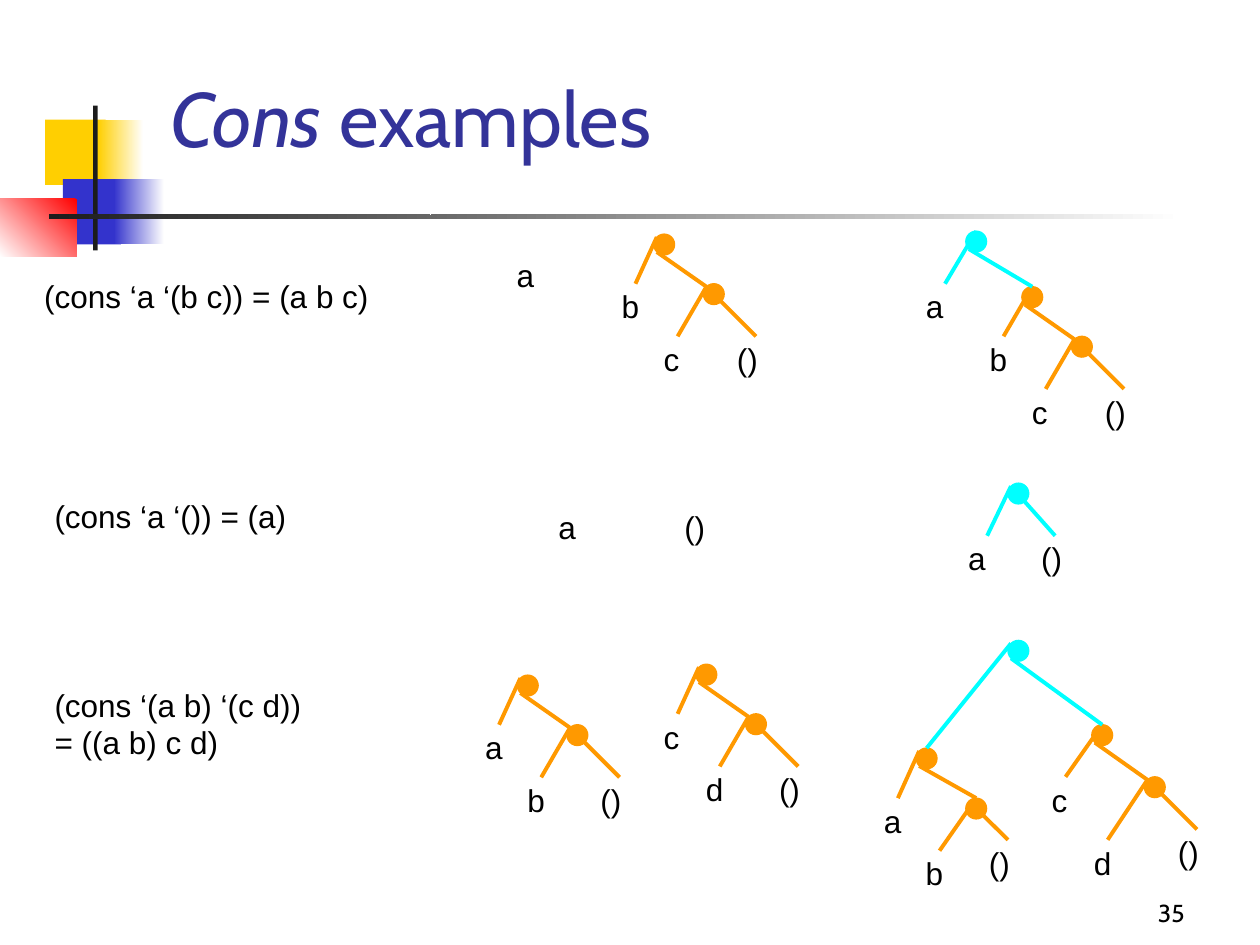
from dataclasses import dataclass
from enum import Enum
from typing import NamedTuple, Optional, Union

from lxml.etree import SubElement
from pptx import Presentation
from pptx.dml.color import RGBColor
from pptx.enum.dml import MSO_LINE
from pptx.enum.shapes import MSO_CONNECTOR, MSO_SHAPE
from pptx.enum.text import MSO_ANCHOR, PP_ALIGN
from pptx.oxml.ns import qn
from pptx.slide import Slide
from pptx.util import Cm, Pt


@dataclass(frozen=True)
class Theme:
    """Colours, fonts and type sizes of the slide."""
    title: str = "333399"
    ink: str = "000000"
    white: str = "FFFFFF"
    dark: str = "1C1C1C"
    yellow: str = "FFCF01"
    blue: str = "3333CC"
    red: str = "FF0000"
    orange: str = "FF9900"
    cyan: str = "00FFFF"
    heading_font: str = "Cabin"
    body_font: str = "Arial"
    title_size: int = 44
    body_size: int = 18
    number_size: int = 14
    leg_width: float = 2.25
    thin_width: float = 0.75
    line_spacing: float = 0.96


THEME = Theme()
DOT_SIZE = 0.42
LABEL_HEIGHT = 0.98
NARROW, WIDE = 1.06, 1.27


class Point(NamedTuple):
    """A place on the slide in centimetres."""
    x: float
    y: float


class Area(NamedTuple):
    """A rectangle on the slide in centimetres."""
    left: float
    top: float
    width: float
    height: float


class Site(Enum):
    """Places on a dot where legs meet it."""
    TOP = Point(0.21, 0)
    UPPER = Point(0.06, 0.06)
    LOWER = Point(0.06, 0.36)


class Panel(NamedTuple):
    """A decorative rectangle, with a gradient when it has an end colour."""
    area: Area
    color: str
    end_color: Optional[str] = None
    angle: int = 180


@dataclass(frozen=True)
class Leaf:
    """A label centred below its point."""
    text: str
    x: float
    y: float
    width: float = NARROW


@dataclass(frozen=True)
class Cons:
    """A pair drawn as a dot with two legs."""
    x: float
    y: float
    left: Union["Cons", Leaf]
    right: Union["Cons", Leaf]
    color: str = THEME.orange
    entry: Site = Site.UPPER
    left_site: Site = Site.UPPER

    def at(self, site: Site) -> Point:
        """Return the place of a site of the dot."""
        return Point(self.x + site.value.x, self.y + site.value.y)


def two_item_list(first: str, second: str, x: float, y: float, site: Site = Site.UPPER) -> Cons:
    """Return the tree of a list with two items."""
    tail = Cons(x + 1, y + 1, Leaf(second, x + 0.48, y + 2.06), Leaf("()", x + 2.06, y + 2.06, WIDE))
    return Cons(x, y, Leaf(first, x - 0.37, y + 1), tail, entry=site, left_site=site)


PANELS = [
    Panel(Area(0.91, 2.41, 1.22, 1.32), THEME.yellow),
    Panel(Area(1.98, 2.41, 0.91, 1.32), THEME.white, THEME.yellow),
    Panel(Area(1.27, 3.61, 1.17, 1.32), THEME.blue),
    Panel(Area(2.29, 3.61, 1.02, 1.32), THEME.white, THEME.blue),
    Panel(Area(0, 4.01, 1.55, 1.17), THEME.red, THEME.white, 225),
    Panel(Area(1.88, 2.13, 0.09, 2.92), THEME.dark),
    Panel(Area(0.99, 4.32, 22.86, 0.09), THEME.white, THEME.dark),
]

EXPRESSIONS = [
    ("(cons ‘a ‘(b c)) = (a b c)", Area(0.64, 5.5, 9.95, LABEL_HEIGHT)),
    ("(cons ‘a ‘()) = (a)", Area(0.85, 9.95, 9.95, LABEL_HEIGHT)),
    ("(cons ‘(a b) ‘(c d)) = ((a b) c d)", Area(0.85, 13.76, 5.93, 1.73)),
]

TREES = [
    Leaf("a", 10.8, 5.08, WIDE),
    two_item_list("b", "c", 13.18, 4.72),
    Cons(19.47, 4.66, Leaf("a", 19.05, 5.72, WIDE), two_item_list("b", "c", 20.6, 5.78, Site.TOP),
         THEME.cyan, left_site=Site.TOP),
    Leaf("a", 11.64, 10.16, WIDE),
    Leaf("()", 14.18, 10.16, WIDE),
    Cons(20.32, 9.74, Leaf("a", 19.9, 10.8, WIDE), Leaf("()", 21.27, 10.8), THEME.cyan),
    two_item_list("a", "b", 10.43, 13.61),
    two_item_list("c", "d", 14.03, 13.39),
    Cons(20.32, 12.91,
         Cons(18.47, 15.08, Leaf("a", 18.1, 16.09),
              Cons(19.47, 16.09, Leaf("b", 18.94, 17.15), Leaf("()", 20.32, 16.93, WIDE),
                   entry=Site.TOP, left_site=Site.TOP),
              entry=Site.TOP),
         Cons(22.01, 14.61, Leaf("c", 21.48, 15.66),
              Cons(23.07, 15.66, Leaf("d", 22.33, 16.93), Leaf("()", 24.13, 16.72, WIDE)),
              entry=Site.TOP, left_site=Site.TOP),
         THEME.cyan),
]


def rgb(color: str) -> RGBColor:
    """Return a colour from its hexadecimal form."""
    return RGBColor.from_string(color)


def add_panel(page: Slide, panel: Panel) -> None:
    """Draw a decorative rectangle."""
    box = page.shapes.add_shape(MSO_SHAPE.RECTANGLE, *map(Cm, panel.area))
    box.shadow.inherit = False
    box.line.fill.background()
    if panel.end_color is None:
        box.fill.solid()
        box.fill.fore_color.rgb = rgb(panel.color)
        return
    box.fill.gradient()
    box.fill.gradient_angle = panel.angle
    for stop, color in zip(box.fill.gradient_stops, (panel.color, panel.end_color)):
        stop.color.rgb = rgb(color)


def add_text(page: Slide, text: str, area: Area, font: str = THEME.body_font,
             size: int = THEME.body_size, align: PP_ALIGN = PP_ALIGN.LEFT,
             anchor: MSO_ANCHOR = MSO_ANCHOR.TOP) -> None:
    """Write one paragraph in a text box."""
    frame = page.shapes.add_textbox(*map(Cm, area)).text_frame
    frame.word_wrap = True
    frame.vertical_anchor = anchor
    para = frame.paragraphs[0]
    para.text = text
    para.alignment = align
    para.line_spacing = THEME.line_spacing
    para.font.name = font
    para.font.size = Pt(size)
    para.font.color.rgb = rgb(THEME.ink)


def add_line(page: Slide, start: Point, end: Point, color: str,
             width: float = THEME.leg_width, dash: Optional[MSO_LINE] = None) -> None:
    """Draw a straight line without a shadow."""
    line = page.shapes.add_connector(MSO_CONNECTOR.STRAIGHT, *map(Cm, (*start, *end)))
    line.line.color.rgb = rgb(color)
    line.line.width = Pt(width)
    line.line.dash_style = dash
    SubElement(line._element.spPr, qn("a:effectLst"))


def add_tree(page: Slide, tree: Union[Cons, Leaf]) -> None:
    """Draw a tree, its branches before its root."""
    if isinstance(tree, Leaf):
        add_text(page, tree.text, Area(tree.x - tree.width / 2, tree.y, tree.width, LABEL_HEIGHT))
        return
    right_site = Site.LOWER if isinstance(tree.right, Cons) else Site.UPPER
    for child, site in ((tree.left, tree.left_site), (tree.right, right_site)):
        add_tree(page, child)
        tip = child.at(child.entry) if isinstance(child, Cons) else Point(child.x, child.y)
        add_line(page, tip, tree.at(site), tree.color)
    dot = page.shapes.add_shape(MSO_SHAPE.OVAL, *map(Cm, (tree.x, tree.y, DOT_SIZE, DOT_SIZE)))
    dot.shadow.inherit = False
    dot.fill.solid()
    dot.fill.fore_color.rgb = dot.line.color.rgb = rgb(tree.color)
    dot.line.width = Pt(THEME.thin_width)


def set_title(page: Slide) -> None:
    """Place and format the slide title."""
    title = page.shapes.title
    title.left, title.top, title.width, title.height = map(Cm, (3.18, 1.07, 21.67, 2.74))
    title.text_frame.vertical_anchor = MSO_ANCHOR.MIDDLE
    para = title.text_frame.paragraphs[0]
    para.alignment = PP_ALIGN.LEFT
    para.line_spacing = THEME.line_spacing
    para.font.name = THEME.heading_font
    para.font.size = Pt(THEME.title_size)
    para.font.color.rgb = rgb(THEME.title)
    for text, italic in (("Cons", True), (" examples", False)):
        span = para.add_run()
        span.text = text
        span.font.italic = italic


def main() -> None:
    """Build the slide and save the deck."""
    deck = Presentation()
    deck.slide_width, deck.slide_height = Cm(25.4), Cm(19.05)
    page = deck.slides.add_slide(deck.slide_layouts[5])
    set_title(page)
    for panel in PANELS:
        add_panel(page, panel)
    add_line(page, Point(8.68, 4.23), Point(8.68, 18.42), THEME.white, THEME.thin_width, MSO_LINE.DASH)
    for text, area in EXPRESSIONS:
        add_text(page, text, area)
    for tree in TREES:
        add_tree(page, tree)
    add_text(page, "35", Area(18.84, 17.15, 5.29, 1.69), THEME.heading_font,
             THEME.number_size, PP_ALIGN.RIGHT, MSO_ANCHOR.BOTTOM)
    deck.save("out.pptx")


if __name__ == "__main__":
    main()
